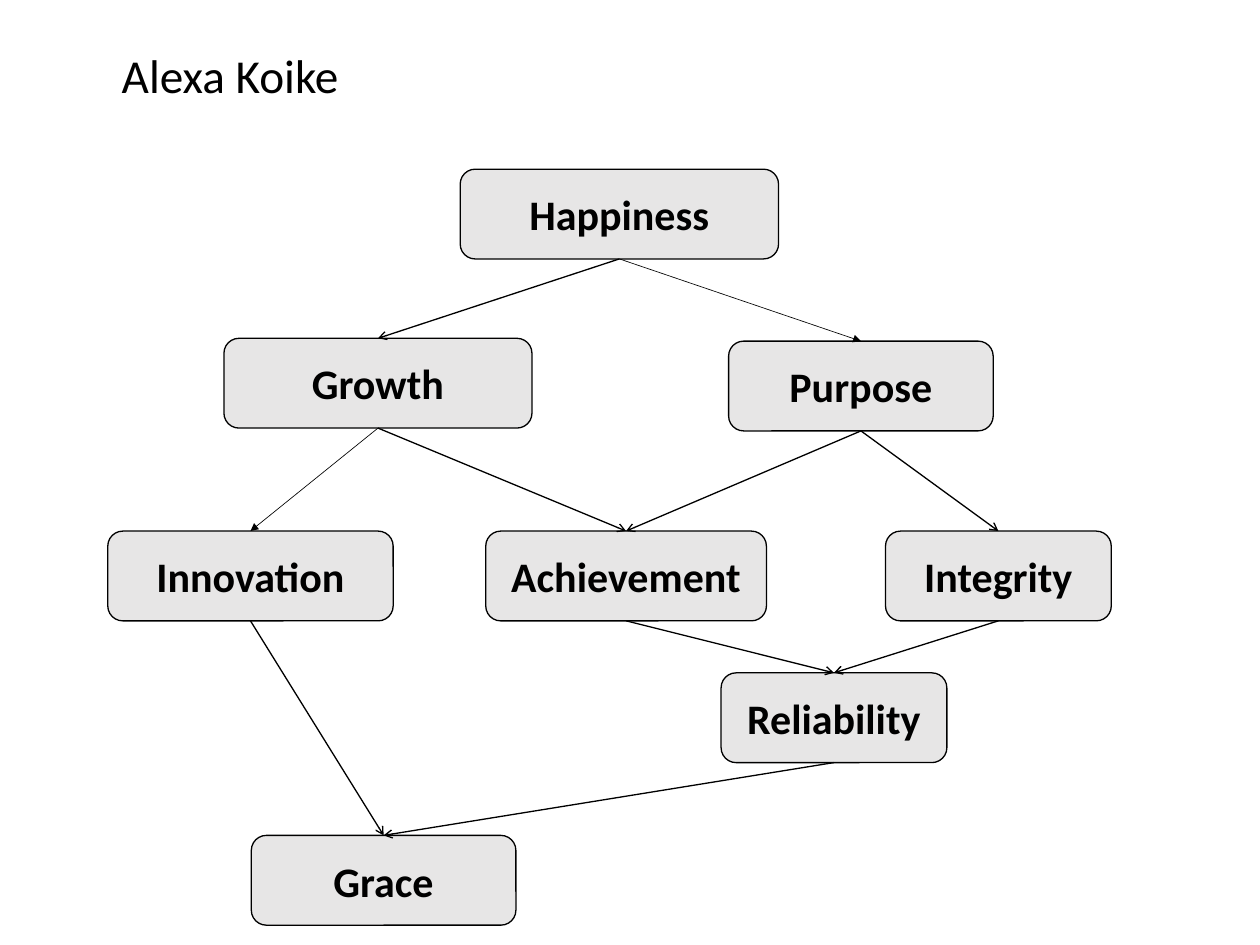
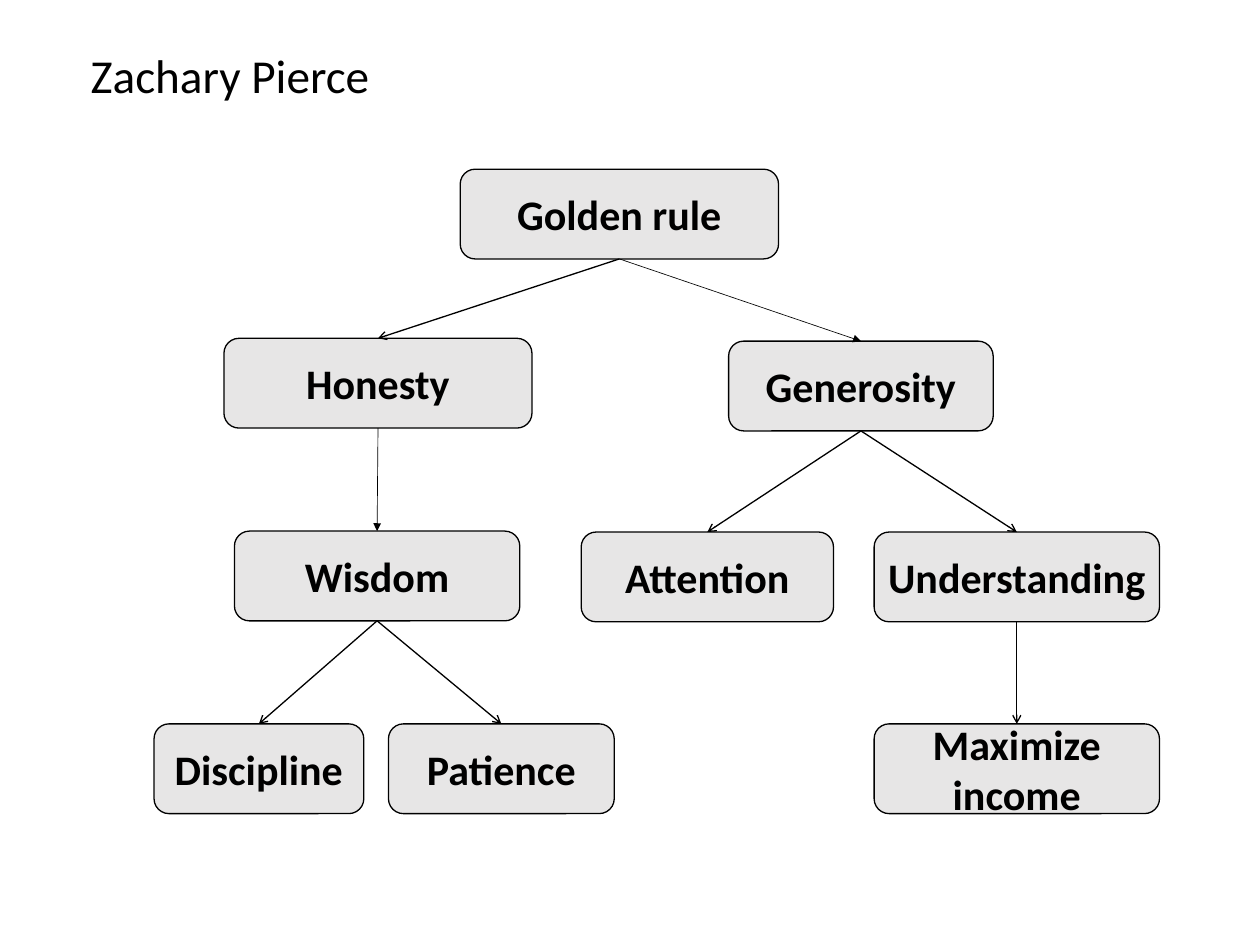
"""Build two slides of personal value hierarchies."""
from dataclasses import dataclass
from typing import NamedTuple

from lxml import etree
from pptx import Presentation
from pptx.dml.color import RGBColor
from pptx.enum.shapes import MSO_CONNECTOR, MSO_SHAPE
from pptx.enum.text import MSO_ANCHOR, MSO_AUTO_SIZE, PP_ALIGN
from pptx.oxml.ns import qn
from pptx.util import Inches, Pt

ROUNDED = MSO_SHAPE.ROUNDED_RECTANGLE
STRAIGHT = MSO_CONNECTOR.STRAIGHT
MIDDLE = MSO_ANCHOR.MIDDLE
NO_AUTOFIT = MSO_AUTO_SIZE.NONE
CENTER = PP_ALIGN.CENTER
TITLE_ONLY = 5
TOP, BOTTOM = 0, 2
WIDTH, HEIGHT = Inches(40 / 3), Inches(10)


@dataclass(frozen=True)
class Theme:
    """Colours, font, type sizes and line widths, in points."""
    ink: RGBColor = RGBColor(0, 0, 0)
    box: RGBColor = RGBColor(0xE7, 0xE6, 0xE6)
    font: str = "Calibri"
    title: int = 36
    label: int = 32
    line: float = 1
    thin: float = 0.5


class Value(NamedTuple):
    """A value box: centre and width in % of slide width, top in % of height."""
    name: str
    center: float
    top: float
    width: float


class Link(NamedTuple):
    """An arrow from one value down to another."""
    start: str
    end: str
    thin: bool = False


class Tree(NamedTuple):
    """One person's hierarchy of values."""
    person: str
    values: list[Value]
    links: list[Link]


THEME = Theme()
BOX_HEIGHT = 9.5
ROOT, LEFT_BRANCH, RIGHT_BRANCH, LEAVES = 17.9, 35.8, 36.1, 56.2
ROOT_X, LEFT_X, RIGHT_X = 49.16, 30, 68.33
SMALL, MEDIUM, LARGE = 17.92, 21, 22.65
LEFT_WIDTH, ROOT_WIDTH = 24.45, 25.27

TREES = [
    Tree("Alexa Koike", [
        Value("Happiness", ROOT_X, ROOT, ROOT_WIDTH),
        Value("Growth", LEFT_X, LEFT_BRANCH, LEFT_WIDTH),
        Value("Purpose", RIGHT_X, RIGHT_BRANCH, MEDIUM),
        Value("Innovation", 19.88, LEAVES, LARGE),
        Value("Achievement", 49.69, LEAVES, 22.28),
        Value("Integrity", 79.24, LEAVES, SMALL),
        Value("Reliability", 66.19, 71.2, SMALL),
        Value("Grace", 30.45, 88.4, MEDIUM),
    ], [
        Link("Happiness", "Growth"),
        Link("Happiness", "Purpose", thin=True),
        Link("Growth", "Innovation", thin=True),
        Link("Growth", "Achievement"),
        Link("Purpose", "Achievement"),
        Link("Purpose", "Integrity"),
        Link("Achievement", "Reliability"),
        Link("Integrity", "Reliability"),
        Link("Innovation", "Grace"),
        Link("Reliability", "Grace"),
    ]),
    Tree("Zachary Pierce", [
        Value("Golden rule", ROOT_X, ROOT, ROOT_WIDTH),
        Value("Honesty", LEFT_X, LEFT_BRANCH, LEFT_WIDTH),
        Value("Generosity", RIGHT_X, RIGHT_BRANCH, MEDIUM),
        Value("Wisdom", 29.93, LEAVES, LARGE),
        Value("Attention", 56.14, 56.3, 20.03),
        Value("Understanding", 80.7, 56.3, LARGE),
        Value("Discipline", 20.55, 76.6, 16.65),
        Value("Patience", 39.79, 76.6, SMALL),
        Value("Maximize income", 80.7, 76.6, LARGE),
    ], [
        Link("Golden rule", "Honesty"),
        Link("Golden rule", "Generosity", thin=True),
        Link("Honesty", "Wisdom", thin=True),
        Link("Generosity", "Attention"),
        Link("Generosity", "Understanding"),
        Link("Wisdom", "Discipline"),
        Link("Wisdom", "Patience"),
        Link("Understanding", "Maximize income"),
    ]),
]


def share_x(percent: float) -> int:
    """Return a share of the slide's width."""
    return round(WIDTH * percent / 100)


def share_y(percent: float) -> int:
    """Return a share of the slide's height."""
    return round(HEIGHT * percent / 100)


def write(sp, text: str, *, size: int, bold: bool = False) -> None:
    """Write centred text into a shape."""
    tf = sp.text_frame
    tf.word_wrap = True
    tf.auto_size = NO_AUTOFIT
    tf.vertical_anchor = MIDDLE
    p = tf.paragraphs[0]
    p.alignment = CENTER
    r = p.add_run()
    r.text = text
    r.font.name = THEME.font
    r.font.size = Pt(size)
    r.font.bold = bold
    r.font.color.rgb = THEME.ink


def add_title(s, person: str) -> None:
    """Place the person's name in the title placeholder."""
    sp = s.shapes.title
    sp.left, sp.top = 0, share_y(4.3)
    sp.width, sp.height = share_x(36.53), share_y(7.1)
    write(sp, person, size=THEME.title)


def add_value(s, value: Value):
    """Draw one value box."""
    sp = s.shapes.add_shape(
        ROUNDED, share_x(value.center - value.width / 2), share_y(value.top),
        share_x(value.width), share_y(BOX_HEIGHT))
    sp.shadow.inherit = False
    sp.fill.solid()
    sp.fill.fore_color.rgb = THEME.box
    sp.line.color.rgb = THEME.ink
    sp.line.width = Pt(THEME.line)
    write(sp, value.name, size=THEME.label, bold=True)
    return sp


def add_link(s, start, end, thin: bool) -> None:
    """Join two boxes with an arrow from bottom to top."""
    cxn = s.shapes.add_connector(STRAIGHT, 0, 0, 0, 0)
    cxn.begin_connect(start, BOTTOM)
    cxn.end_connect(end, TOP)
    cxn.line.color.rgb = THEME.ink
    cxn.line.width = Pt(THEME.thin if thin else THEME.line)
    ln = cxn.line._get_or_add_ln()
    etree.SubElement(ln, qn("a:tailEnd"), type="triangle" if thin else "arrow")
    etree.SubElement(cxn._element.spPr, qn("a:effectLst"))


def add_tree(prs, tree: Tree) -> None:
    """Add a slide with one person's hierarchy."""
    s = prs.slides.add_slide(prs.slide_layouts[TITLE_ONLY])
    add_title(s, tree.person)
    boxes = {value.name: add_value(s, value) for value in tree.values}
    for link in tree.links:
        add_link(s, boxes[link.start], boxes[link.end], link.thin)


def main() -> None:
    """Build and save the presentation."""
    prs = Presentation()
    prs.slide_width, prs.slide_height = WIDTH, HEIGHT
    for tree in TREES:
        add_tree(prs, tree)
    prs.save("out.pptx")


if __name__ == "__main__":
    main()
